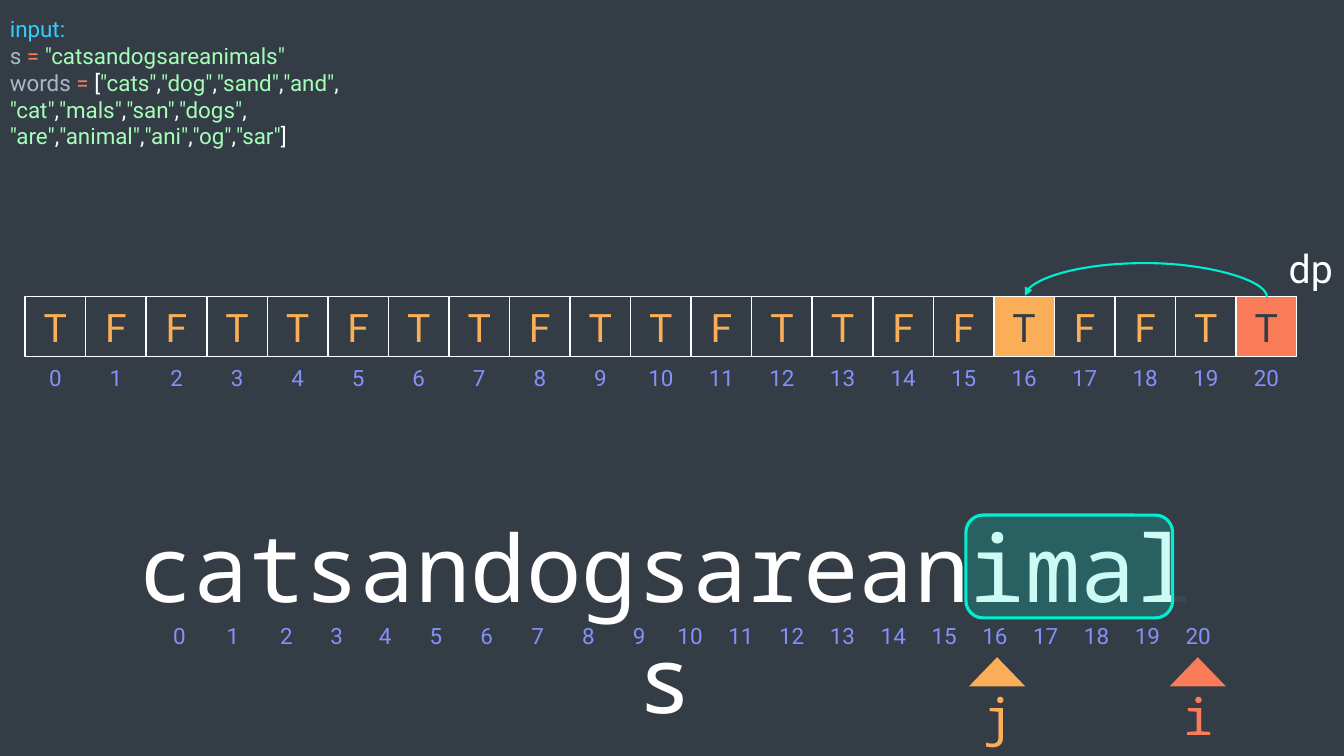
import pptx
import pptx.util
import pptx.dml.color
import pptx.enum.shapes
import pptx.enum.text
import pptx.oxml
import pptx.oxml.ns

Inches = pptx.util.Inches
RGBColor = pptx.dml.color.RGBColor
KIND = pptx.enum.shapes.MSO_SHAPE
CENTER = pptx.enum.text.PP_ALIGN.CENTER
MIDDLE = pptx.enum.text.MSO_ANCHOR.MIDDLE
GROW = pptx.enum.text.MSO_AUTO_SIZE.SHAPE_TO_FIT_TEXT
qn = pptx.oxml.ns.qn
NS = pptx.oxml.ns.nsdecls("a")

DARK = RGBColor(0x34, 0x3D, 0x46)
WHITE = RGBColor(0xFF, 0xFF, 0xFF)
GOLD = RGBColor(0xF9, 0xAE, 0x57)
CORAL = RGBColor(0xF9, 0x7B, 0x57)
VIOLET = RGBColor(0x86, 0x90, 0xFA)
TEAL = RGBColor(0x00, 0xEF, 0xD1)
SKY = RGBColor(0x33, 0xCC, 0xFF)
GREY = RGBColor(0xA9, 0xB7, 0xC6)
GREEN = RGBColor(0xA5, 0xFD, 0xB9)
SANS = "Roboto"
MONO = "Noto Sans Mono"

deck = pptx.Presentation()
deck.slide_width = Inches(13.33)
deck.slide_height = Inches(7.5)
slide = deck.slides.add_slide(deck.slide_layouts[6])
slide.background.fill.solid()
slide.background.fill.fore_color.rgb = DARK


def write(para, text, size, color, face=SANS):
    run = para.add_run()
    run.text = text
    style = {"size": pptx.util.Pt(size), "name": face}
    for key, value in style.items():
        setattr(run.font, key, value)
    run.font.color.rgb = color


def block(kind, place, fill, line=None, width=1, alpha=None):
    shape = slide.shapes.add_shape(kind, *map(Inches, place))
    shape.shadow.inherit = False
    shape.fill.solid()
    shape.fill.fore_color.rgb = fill
    if alpha:
        tint = shape.element.spPr.find(qn("a:solidFill"))[0]
        tint.append(pptx.oxml.parse_xml(f'<a:alpha {NS} val="{alpha * 1000}"/>'))
    if line is None:
        shape.line.fill.background()
    else:
        shape.line.color.rgb = line
        shape.line.width = pptx.util.Pt(width)
    frame = shape.text_frame
    frame.vertical_anchor = MIDDLE
    frame.paragraphs[0].alignment = CENTER
    return shape


rows = [
    ["cats", "dog", "sand", "and"],
    ["cat", "mals", "san", "dogs"],
    ["are", "animal", "ani", "og", "sar"],
]
code = slide.shapes.add_textbox(Inches(0), Inches(0.1), Inches(4.04), Inches(1.45))
frame = code.text_frame
frame.word_wrap = True
frame.auto_size = GROW
write(frame.paragraphs[0], "input:", 16, SKY)
for row in rows:
    para = frame.add_paragraph()
    if row is rows[0]:
        write(para, "s ", 16, GREY)
        write(para, "= ", 16, CORAL)
        write(para, '"catsandogsareanimals"', 16, GREEN)
        para.add_line_break()
        write(para, "words ", 16, GREY)
        write(para, "= ", 16, CORAL)
        write(para, "[", 16, WHITE)
    for word in row:
        write(para, f'"{word}"', 16, GREEN)
        write(para, "]" if word == "sar" else ",", 16, WHITE)

marks = {16: GOLD, 20: CORAL}
for index, state in enumerate("TFFTTFTTFTTFTTFFTFFTT"):
    left = 0.25 + 0.6005 * index
    label = block(KIND.RECTANGLE, (left, 3.54, 0.6, 0.42), DARK)
    write(label.text_frame.paragraphs[0], str(index), 16, VIOLET)
    cell = block(KIND.RECTANGLE, (left, 2.94, 0.6, 0.6), marks.get(index, DARK), WHITE)
    write(cell.text_frame.paragraphs[0], state, 28, DARK if index in marks else GOLD)

spots = [1.53, 2.06, 2.59, 3.09] + [3.57 + 0.504 * step for step in range(17)]
for index, left in enumerate(spots):
    label = block(KIND.RECTANGLE, (left, 6.09, 0.5, 0.42), DARK)
    write(label.text_frame.paragraphs[0], str(index), 16, VIOLET)

texts = [
    ("dp", (12.64, 2.37, 0.72, 0.57), 28, WHITE, SANS),
    ("catsandogsareanimals", (1.19, 5.01, 10.81, 1.21), 66, WHITE, MONO),
    ("i", (11.61, 6.75, 0.56, 0.71), 36, CORAL, MONO),
    ("j", (9.62, 6.75, 0.56, 0.71), 36, GOLD, MONO),
]
for text, place, size, color, face in texts:
    frame = slide.shapes.add_textbox(*map(Inches, place)).text_frame
    frame.word_wrap = True
    frame.auto_size = GROW
    frame.paragraphs[0].alignment = CENTER
    write(frame.paragraphs[0], text, size, color, face)

for left, color in ((11.6, CORAL), (9.61, GOLD)):
    block(KIND.ISOSCELES_TRIANGLE, (left, 6.52, 0.56, 0.29), color)
block(KIND.RECTANGLE, (11.64, 5.16, 0.8, 1.02), DARK, alpha=95)
block(KIND.ROUNDED_RECTANGLE, (9.58, 5.11, 2.05, 1.02), TEAL, TEAL, 2.25, 20)

arc = slide.shapes.add_connector(
    pptx.enum.shapes.MSO_CONNECTOR.CURVE,
    Inches(11.36), Inches(4.14), Inches(11.37), Inches(1.74),
)
arc.line.color.rgb = TEAL
arc.line.width = pptx.util.Pt(1.5)
props = arc.element.spPr
props.find(qn("a:xfrm")).set("rot", "16200000")
bend = props.find(qn("a:prstGeom")).find(qn("a:avLst"))
bend.append(pptx.oxml.parse_xml(f'<a:gd {NS} name="adj1" fmla="val 3400000"/>'))
props.find(qn("a:ln")).append(pptx.oxml.parse_xml(f'<a:tailEnd {NS} type="triangle"/>'))
props.append(pptx.oxml.parse_xml(f"<a:effectLst {NS}/>"))

deck.save("out.pptx")
